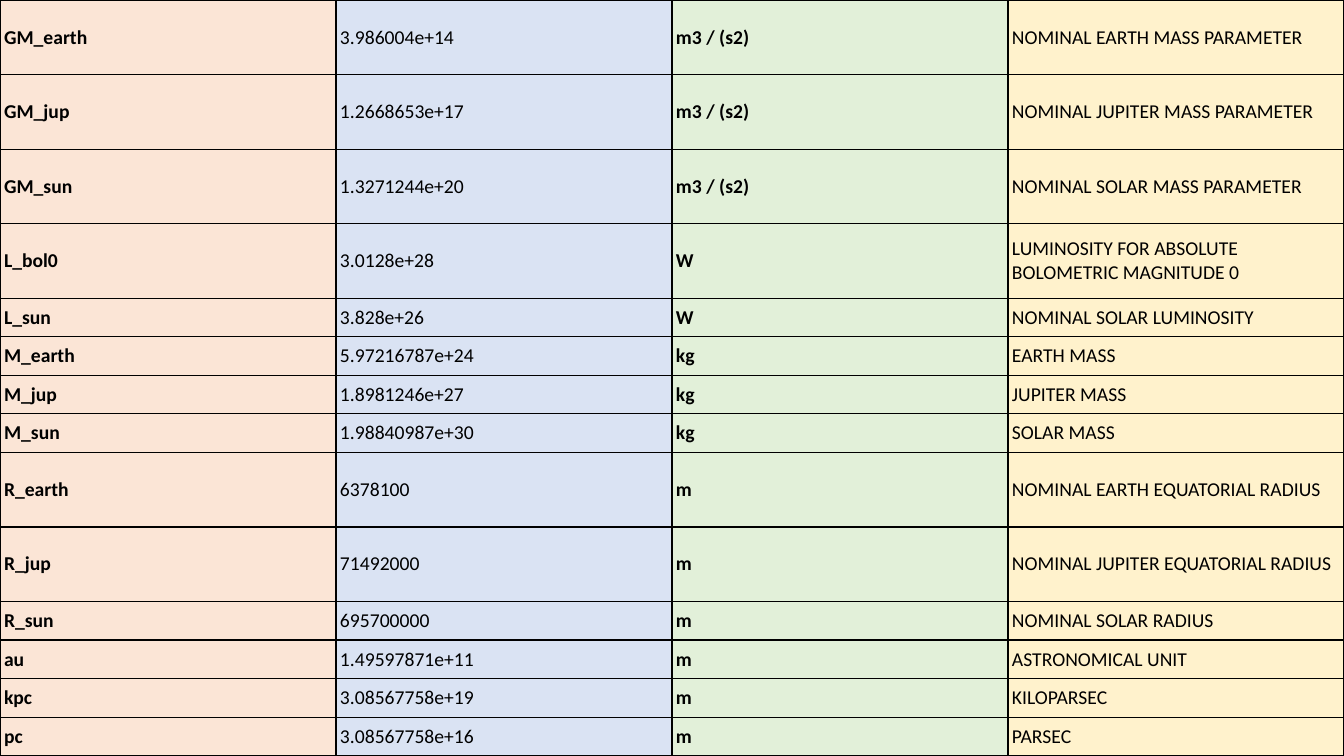
"""Build a slide with a full-page table of astronomical constants."""
from lxml import etree
from pptx import Presentation
from pptx import util as u
from pptx.dml.color import RGBColor
from pptx.enum import text
from pptx.oxml import ns

CONSTANTS = [
    ("GM_earth", "3.986004e+14", "m3 / (s2)", "NOMINAL EARTH MASS PARAMETER"),
    ("GM_jup", "1.2668653e+17", "m3 / (s2)", "NOMINAL JUPITER MASS PARAMETER"),
    ("GM_sun", "1.3271244e+20", "m3 / (s2)", "NOMINAL SOLAR MASS PARAMETER"),
    ("L_bol0", "3.0128e+28", "W", "LUMINOSITY FOR ABSOLUTE BOLOMETRIC MAGNITUDE 0"),
    ("L_sun", "3.828e+26", "W", "NOMINAL SOLAR LUMINOSITY"),
    ("M_earth", "5.97216787e+24", "kg", "EARTH MASS"),
    ("M_jup", "1.8981246e+27", "kg", "JUPITER MASS"),
    ("M_sun", "1.98840987e+30", "kg", "SOLAR MASS"),
    ("R_earth", "6378100", "m", "NOMINAL EARTH EQUATORIAL RADIUS"),
    ("R_jup", "71492000", "m", "NOMINAL JUPITER EQUATORIAL RADIUS"),
    ("R_sun", "695700000", "m", "NOMINAL SOLAR RADIUS"),
    ("au", "1.49597871e+11", "m", "ASTRONOMICAL UNIT"),
    ("kpc", "3.08567758e+19", "m", "KILOPARSEC"),
    ("pc", "3.08567758e+16", "m", "PARSEC"),
]
TALL_ROWS = {"GM_earth", "GM_jup", "GM_sun", "L_bol0", "R_earth", "R_jup"}
COLUMNS = [("FBE5D6", True), ("DAE3F3", False), ("E2F0D9", True), ("FFF2CC", False)]
WIDTH, HEIGHT = u.Inches(13.33), u.Inches(7.5)
TALL = u.Inches(0.74)
SHORT = (HEIGHT - TALL * len(TALL_ROWS)) // (len(CONSTANTS) - len(TALL_ROWS))


def color(value):
    return RGBColor.from_string(value)


def add_borders(cell):
    properties = cell._tc.get_or_add_tcPr()
    for position, side in enumerate(("lnL", "lnR", "lnT", "lnB")):
        line = etree.Element(ns.qn(f"a:{side}"), w=str(u.Pt(1)))
        fill = etree.SubElement(line, ns.qn("a:solidFill"))
        etree.SubElement(fill, ns.qn("a:srgbClr"), val="000000")
        properties.insert(position, line)


def fill_cell(cell, wording, background, bold):
    cell.fill.solid()
    cell.fill.fore_color.rgb = color(background)
    cell.vertical_anchor = text.MSO_ANCHOR.MIDDLE
    cell.margin_left, cell.margin_right = u.Inches(0.04), u.Inches(0.06)
    cell.margin_top = cell.margin_bottom = u.Inches(0.01)
    add_borders(cell)
    cell.text = wording
    font = cell.text_frame.paragraphs[0].font
    font.name, font.size, font.bold = "Calibri", u.Pt(14), bold
    font.color.rgb = color("000000")


def main():
    presentation = Presentation()
    presentation.slide_width, presentation.slide_height = WIDTH, HEIGHT
    slide = presentation.slides.add_slide(presentation.slide_layouts[6])
    table = slide.shapes.add_table(
        len(CONSTANTS), len(COLUMNS), 0, 0, WIDTH, HEIGHT).table
    table.first_row = table.horz_banding = False
    for column in table.columns:
        column.width = WIDTH // len(COLUMNS)
    for row, constant in zip(table.rows, CONSTANTS):
        row.height = TALL if constant[0] in TALL_ROWS else SHORT
        for cell, wording, (background, bold) in zip(row.cells, constant, COLUMNS):
            fill_cell(cell, wording, background, bold)
    presentation.save("out.pptx")


if __name__ == "__main__":
    main()
